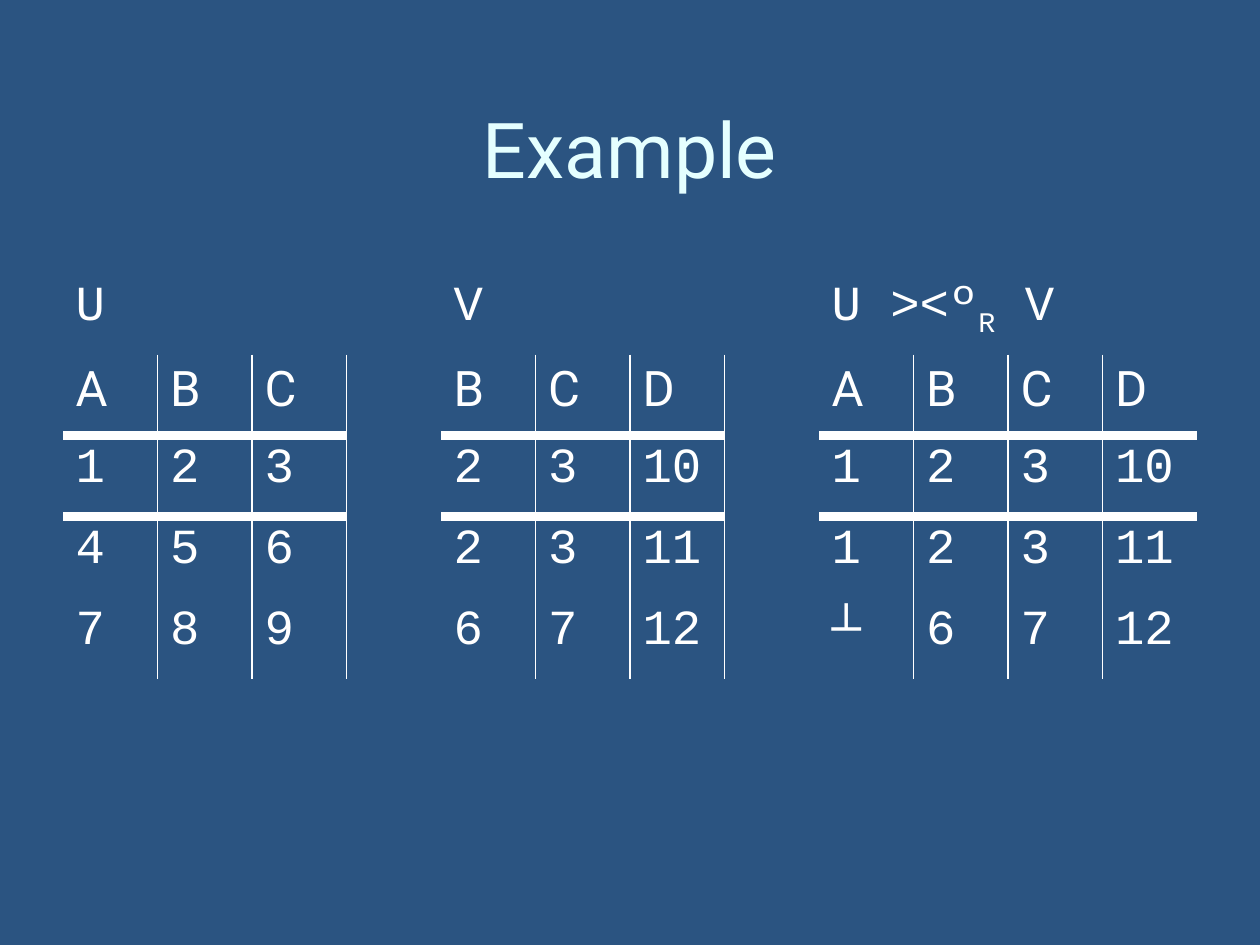
from dataclasses import dataclass

from lxml import etree
from pptx import Presentation
from pptx.dml.color import RGBColor
from pptx.enum import text
from pptx.oxml import ns
from pptx.util import Inches, Pt

COLORS = {"back": "2B5481", "title": "E5FFFF", "ink": "FFFFFF"}
SANS, MONO = "Roboto", "Courier New"
COLS, ROWS = 12, 5
THIN, THICK = 1, 6
NO_GRID = "{2D5ABB26-0587-4C30-8999-92F81FD0307C}"


@dataclass
class Relation:
    col: int
    name: list[tuple[str, int]]  # text and baseline shift in percent
    heads: str
    rows: list[str]


RELATIONS = [
    Relation(0, [("U", 0)], "A B C", ["1 2 3", "4 5 6", "7 8 9"]),
    Relation(4, [("V", 0)], "B C D", ["2 3 10", "2 3 11", "6 7 12"]),
    Relation(8, [("U ><º", 0), ("R", -25), (" V", 0)], "A B C D",
             ["1 2 3 10", "1 2 3 11", "┴ 6 7 12"]),
]


def rgb(key: str) -> RGBColor:
    return RGBColor.from_string(COLORS[key])


def add_run(para, words: str, font: str, size: int, color: str, shift: int = 0) -> None:
    run = para.add_run()
    run.text = words
    run.font.name = font
    run.font.size = Pt(size)
    run.font.color.rgb = rgb(color)
    if shift:
        run.font._element.set("baseline", str(shift * 1000))


def write(cell, parts: list[tuple[str, int]], font: str) -> None:
    para = cell.text_frame.paragraphs[0]
    para.space_before = Pt(5.6)
    for words, shift in parts:
        add_run(para, words, font, 28, "ink", shift)


def rule(cell, sides: dict[str, int]) -> None:
    """Draw cell borders; the schema wants the order L, R, T, B."""
    props = cell._tc.get_or_add_tcPr()
    for side in "LRTB":
        if side in sides:
            line = etree.SubElement(props, ns.qn(f"a:ln{side}"), w=str(Pt(sides[side])))
            fill = etree.SubElement(line, ns.qn("a:solidFill"))
            etree.SubElement(fill, ns.qn("a:srgbClr"), val=COLORS["ink"])


def draw(table, rel: Relation) -> None:
    write(table.cell(0, rel.col), rel.name, MONO)
    for row, line in enumerate([rel.heads, *rel.rows], 1):
        words = line.split()
        for i, word in enumerate(words):
            cell = table.cell(row, rel.col + i)
            write(cell, [(word, 0)], SANS if row == 1 else MONO)
            sides = {}
            if i > 0:
                sides["L"] = THIN
            if i < len(words) - 1:
                sides["R"] = THIN
            if row == 1:
                sides["B"] = THICK
            if row == 2:
                sides["T"] = THICK
            rule(cell, sides)


def main() -> None:
    prs = Presentation()
    prs.slide_width, prs.slide_height = Inches(10), Inches(7.5)
    slide = prs.slides.add_slide(prs.slide_layouts[5])
    slide.background.fill.solid()
    slide.background.fill.fore_color.rgb = rgb("back")

    # Title
    title = slide.shapes.title
    title.left, title.top = Inches(0.5), Inches(0.42)
    title.width, title.height = Inches(9), Inches(1.5)
    title.text_frame.vertical_anchor = text.MSO_ANCHOR.MIDDLE
    para = title.text_frame.paragraphs[0]
    para.alignment = text.PP_ALIGN.CENTER
    add_run(para, "Example", SANS, 44, "title")

    # One table holds all three relations
    frame = slide.shapes.add_table(
        ROWS, COLS, Inches(0.5), Inches(2.17), Inches(9), Inches(3.22))
    table = frame.table
    table.first_row = table.horz_banding = False
    table._tbl.tblPr.find(ns.qn("a:tableStyleId")).text = NO_GRID
    table.cell(0, 8).merge(table.cell(0, 11))
    for rel in RELATIONS:
        draw(table, rel)
    for cell in table.iter_cells():
        cell.fill.background()

    prs.save("out.pptx")


if __name__ == "__main__":
    main()
